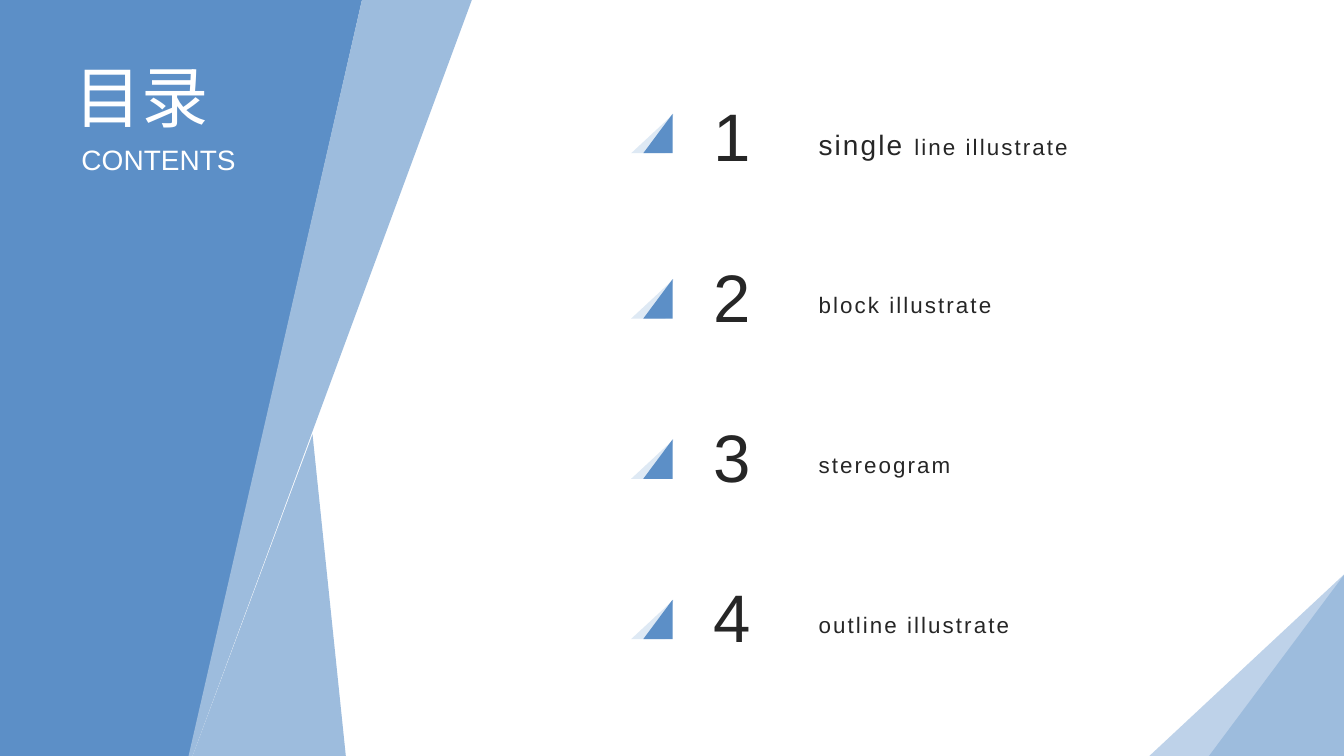
from pptx import Presentation
from pptx.dml.color import RGBColor
from pptx.enum.shapes import MSO_SHAPE
from pptx.enum.text import MSO_ANCHOR
from pptx.util import Inches, Pt

TRIANGLE = MSO_SHAPE.ISOSCELES_TRIANGLE
TOP, MIDDLE = MSO_ANCHOR.TOP, MSO_ANCHOR.MIDDLE
BLUE = RGBColor(0x5C, 0x8F, 0xC7)
SOFT_BLUE = RGBColor(0x9D, 0xBC, 0xDD)
LIGHT_BLUE = RGBColor(0xBE, 0xD2, 0xE9)
PALE_BLUE = RGBColor(0xDE, 0xE9, 0xF4)
INK = RGBColor(0x26, 0x26, 0x26)
WHITE = RGBColor(0xFF, 0xFF, 0xFF)
ROW_STEP = 1.59


class SlideBuilder:
    """Hold the font and the current slide, and add elements to it."""

    def __init__(self, slide, font="Arial"):
        self.slide = slide
        self.font = font

    def paint(self, shape, color):
        shape.fill.solid()
        shape.fill.fore_color.rgb = color
        shape.line.fill.background()
        shape.shadow.inherit = False

    def polygon(self, points, color):
        corners = [(Inches(x), Inches(y)) for x, y in points]
        builder = self.slide.shapes.build_freeform(*corners[0])
        builder.add_line_segments(corners[1:], close=True)
        self.paint(builder.convert_to_shape(), color)

    def triangle(self, left, top, width, height, color):
        box = map(Inches, (left, top, width, height))
        shape = self.slide.shapes.add_shape(TRIANGLE, *box)
        shape.adjustments[0] = 1
        self.paint(shape, color)

    def text(self, parts, left, top, width, height, color=INK, anchor=TOP, spacing=0):
        box = map(Inches, (left, top, width, height))
        frame = self.slide.shapes.add_textbox(*box).text_frame
        frame.word_wrap = True
        frame.vertical_anchor = anchor
        for content, size in parts:
            run = frame.paragraphs[0].add_run()
            run.text = content
            run.font.name = self.font
            run.font.size = Pt(size)
            run.font.color.rgb = color
            if spacing:
                run.font._element.set("spc", str(round(spacing * 100)))

    def marker(self, top):
        bottom = top + 0.39
        self.polygon([(6.68, top), (6.6, bottom), (6.26, bottom)], PALE_BLUE)
        self.triangle(6.38, top, 0.29, 0.39, BLUE)


presentation = Presentation()
presentation.slide_width = Inches(13.33)
presentation.slide_height = Inches(7.5)
builder = SlideBuilder(presentation.slides.add_slide(presentation.slide_layouts[6]))

builder.polygon([(13.33, 5.7), (12.96, 7.5), (11.4, 7.5)], LIGHT_BLUE)
builder.triangle(11.99, 5.69, 1.35, 1.81, SOFT_BLUE)
builder.polygon([(0, 0), (3.59, 0), (1.88, 7.5), (0, 7.5)], BLUE)
builder.polygon([(4.68, 0), (1.91, 7.5), (1.87, 7.5), (3.59, 0)], SOFT_BLUE)
builder.polygon([(3.1, 4.31), (3.43, 7.5), (1.91, 7.5)], SOFT_BLUE)

entries = [
    (1.13, [("single ", 20), ("line illustrate", 16)]),
    (2.77, [("block illustrate", 16)]),
    (4.36, [("stereogram", 16)]),
    (5.95, [("outline illustrate", 16)]),
]
for index, (marker_top, title) in enumerate(entries):
    offset = index * ROW_STEP
    builder.text([(str(index + 1), 48)], 6.98, 0.89 + offset, 0.71, 1.12)
    builder.marker(marker_top)
    builder.text(title, 8.02, 0.87 + offset, 3.88, 1.12, anchor=MIDDLE, spacing=1.5)

builder.text([("目录", 48)], 0.64, 0.5, 1.53, 0.91, color=WHITE)
builder.text([("CONTENTS", 20)], 0.71, 1.36, 1.75, 0.44, color=WHITE)

presentation.save("out.pptx")
